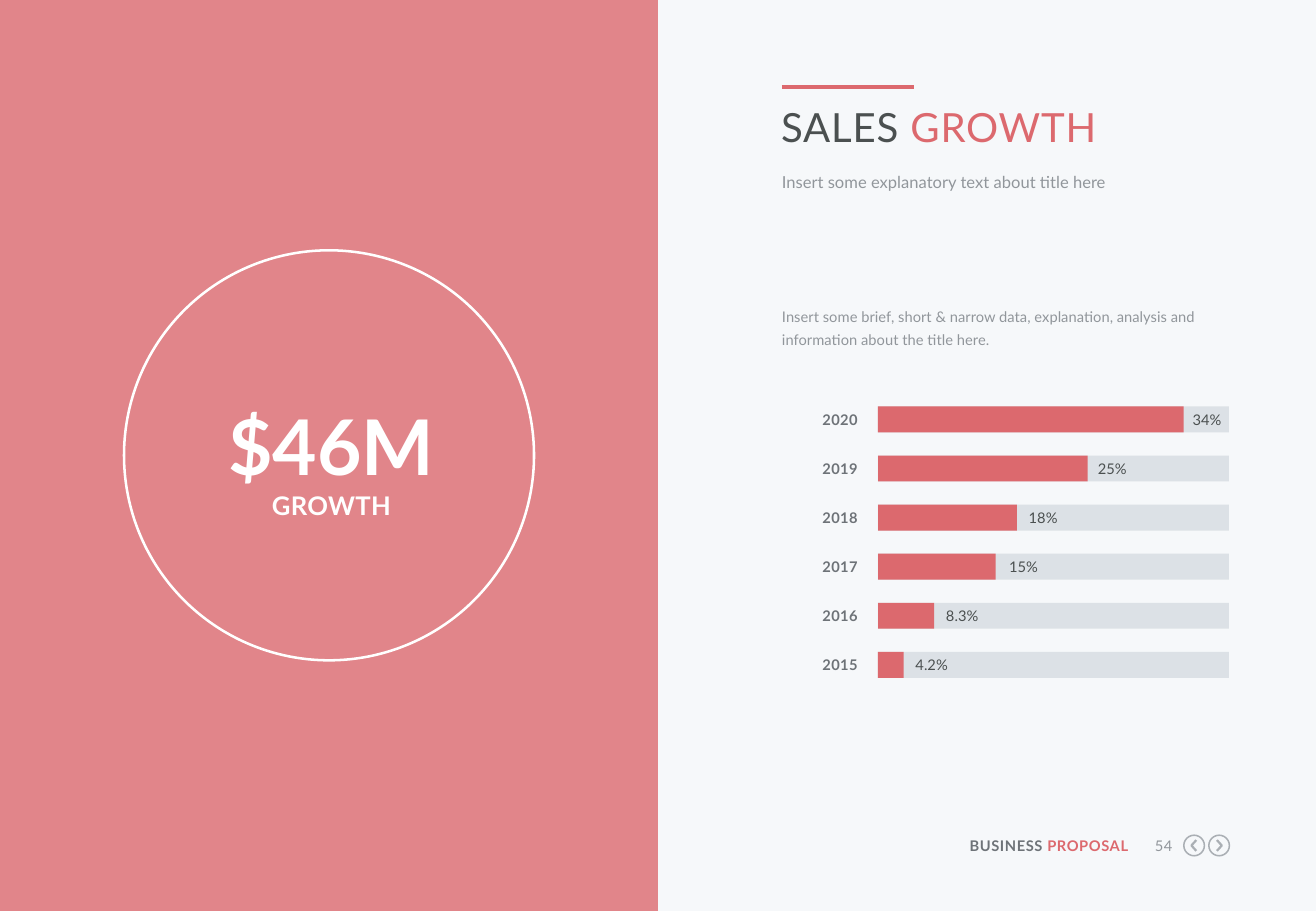
from dataclasses import dataclass

from lxml import etree
from pptx import Presentation
from pptx.dml.color import RGBColor
from pptx.enum import shapes, text
from pptx.oxml import ns
from pptx.util import Pt

RECT, OVAL = shapes.MSO_SHAPE.RECTANGLE, shapes.MSO_SHAPE.OVAL
LEFT, CENTER, RIGHT = text.PP_ALIGN.LEFT, text.PP_ALIGN.CENTER, text.PP_ALIGN.RIGHT


@dataclass(frozen=True)
class Theme:
    font: str = "Lato"
    background: str = "F6F8FA"
    accent: str = "DC696E"
    track: str = "DCE1E6"
    dark: str = "4B5050"
    strong: str = "6E7378"
    muted: str = "91969B"
    icon: str = "AAAFB4"
    white: str = "FFFFFF"
    small: float = 8.7
    subtitle: float = 9.8
    label: float = 15.2
    title: float = 23.8
    figure: float = 45.5


class SlideBuilder:
    def __init__(self, slide, theme):
        self.s, self.theme = slide, theme
        fill = slide.background.fill
        fill.solid()
        fill.fore_color.rgb = RGBColor.from_string(theme.background)

    def set_text(self, sp, box, runs, size, align=LEFT, bold=False, spacing=0, leading=1.0):
        """Place sp at box and fill it with one paragraph of (text, colour) runs."""
        sp.left, sp.top, sp.width, sp.height = map(Pt, box)
        tf = sp.text_frame
        frame_format = dict(margin_left=0, margin_top=0, margin_right=0, margin_bottom=0,
                            word_wrap=True, auto_size=text.MSO_AUTO_SIZE.NONE,
                            vertical_anchor=text.MSO_ANCHOR.TOP)
        for name, value in frame_format.items():
            setattr(tf, name, value)
        p = tf.paragraphs[0]
        for name, value in dict(alignment=align, line_spacing=leading, space_before=Pt(0)).items():
            setattr(p, name, value)
        for words, color in runs:
            r = p.add_run()
            r.text = words
            for name, value in dict(name=self.theme.font, size=Pt(size), bold=bold).items():
                setattr(r.font, name, value)
            r.font.color.rgb = RGBColor.from_string(color)
            if spacing:
                r._r.get_or_add_rPr().set("spc", str(round(spacing * 100)))

    def label(self, box, runs, size, **style):
        self.set_text(self.s.shapes.add_textbox(0, 0, 0, 0), box, runs, size, **style)

    def outline(self, sp, color, weight):
        sp.line.color.rgb = RGBColor.from_string(color)
        sp.line.width = Pt(weight)

    def shape(self, kind, box, fill=None, line=None, weight=1, alpha=None):
        sp = self.s.shapes.add_shape(kind, *map(Pt, box))
        sp.shadow.inherit = False
        if fill:
            sp.fill.solid()
            sp.fill.fore_color.rgb = RGBColor.from_string(fill)
        else:
            sp.fill.background()
        if line:
            self.outline(sp, line, weight)
        else:
            sp.line.fill.background()
        if alpha:
            clr = sp._element.spPr.find(".//" + ns.qn("a:srgbClr"))
            etree.SubElement(clr, ns.qn("a:alpha")).set("val", str(alpha * 1000))

    def rule(self, x1, x2, y, color, weight):
        line = self.s.shapes.add_connector(shapes.MSO_CONNECTOR.STRAIGHT,
                                           Pt(x1), Pt(y), Pt(x2), Pt(y))
        self.outline(line, color, weight)
        etree.SubElement(line._element.spPr, ns.qn("a:effectLst"))

    def arrow_button(self, cx, cy, direction):
        """Draw a ringed chevron; direction is -1 for left and 1 for right."""
        radius = 6.1
        self.shape(OVAL, (cx - radius, cy - radius, 2 * radius, 2 * radius),
                   line=self.theme.icon, weight=0.9)
        back, tip = cx - 1.3 * direction, cx + 1.6 * direction
        builder = self.s.shapes.build_freeform(Pt(back), Pt(cy - 3.2))
        builder.add_line_segments([(Pt(tip), Pt(cy)), (Pt(back), Pt(cy + 3.2))], close=False)
        sp = builder.convert_to_shape()
        sp.shadow.inherit = False
        sp.fill.background()
        self.outline(sp, self.theme.icon, 1.3)

    def bar_row(self, y, year, value, length, gap):
        t, x, height = self.theme, 520.4, 15.4
        text_y = y + 2.4
        self.label((463, text_y, 45.4, 10.8), [(year, t.strong)], t.small,
                   align=RIGHT, bold=True, spacing=0.2)
        self.shape(RECT, (x, y, 208, height), fill=t.track)
        self.shape(RECT, (x, y, length, height), fill=t.accent)
        self.label((x + length + gap, text_y, 21, 10.8), [(value, t.dark)], t.small)


# year, value, bar length, gap before the value
SALES = [
    ("2020", "34%", 181.2, 5.3),
    ("2019", "25%", 124.3, 6),
    ("2018", "18%", 82.3, 7),
    ("2017", "15%", 69.7, 8),
    ("2016", "8.3%", 33.3, 7),
    ("2015", "4.2%", 15.2, 7),
]


def main():
    prs = Presentation()
    prs.slide_width, prs.slide_height = Pt(780), Pt(540)
    s = prs.slides.add_slide(prs.slide_layouts.get_by_name("Section Header"))
    t = Theme()
    b = SlideBuilder(s, t)

    b.shape(RECT, (0, 0, 390, 540), fill=t.accent, alpha=80)
    b.shape(OVAL, (73.5, 148.4, 243, 243), line=t.white, weight=1.5)
    b.label((115, 225.4, 163, 66.2), [("$46M", t.white)], t.figure,
            align=CENTER, bold=True, leading=1.2)
    b.label((115, 290.2, 163, 18.7), [("GROWTH", t.white)], t.label,
            align=CENTER, bold=True, spacing=0.2)

    b.rule(463.5, 541.5, 51.8, t.accent, 2.25)
    b.set_text(s.shapes.title, (463, 60.5, 266, 28.8),
               [("SALES ", t.dark), ("GROWTH", t.accent)], t.title, spacing=0.5)
    b.label((463.5, 101.5, 266, 12.2),
            [("Insert some explanatory text about title here", t.muted)],
            t.subtitle, leading=Pt(12))
    b.set_text(s.placeholders[1], (463.5, 179.3, 265, 27.4),
               [("Insert some brief, short & narrow data, explanation, analysis and "
                 "information about the title here.", t.muted)], t.small, leading=1.3)

    for i, row in enumerate(SALES):
        b.bar_row(240.9 + 29.1 * i, *row)

    b.label((570, 496.1, 98.8, 10.8), [("BUSINESS ", t.strong), ("PROPOSAL", t.accent)],
            t.small, align=RIGHT, bold=True, spacing=0.3)
    b.label((677, 496.1, 18, 10.8), [("54", t.muted)], t.small, align=RIGHT, spacing=0.3)
    for cx, direction in ((707.8, -1), (722.6, 1)):
        b.arrow_button(cx, 501.2, direction)

    prs.save("out.pptx")


if __name__ == "__main__":
    main()
